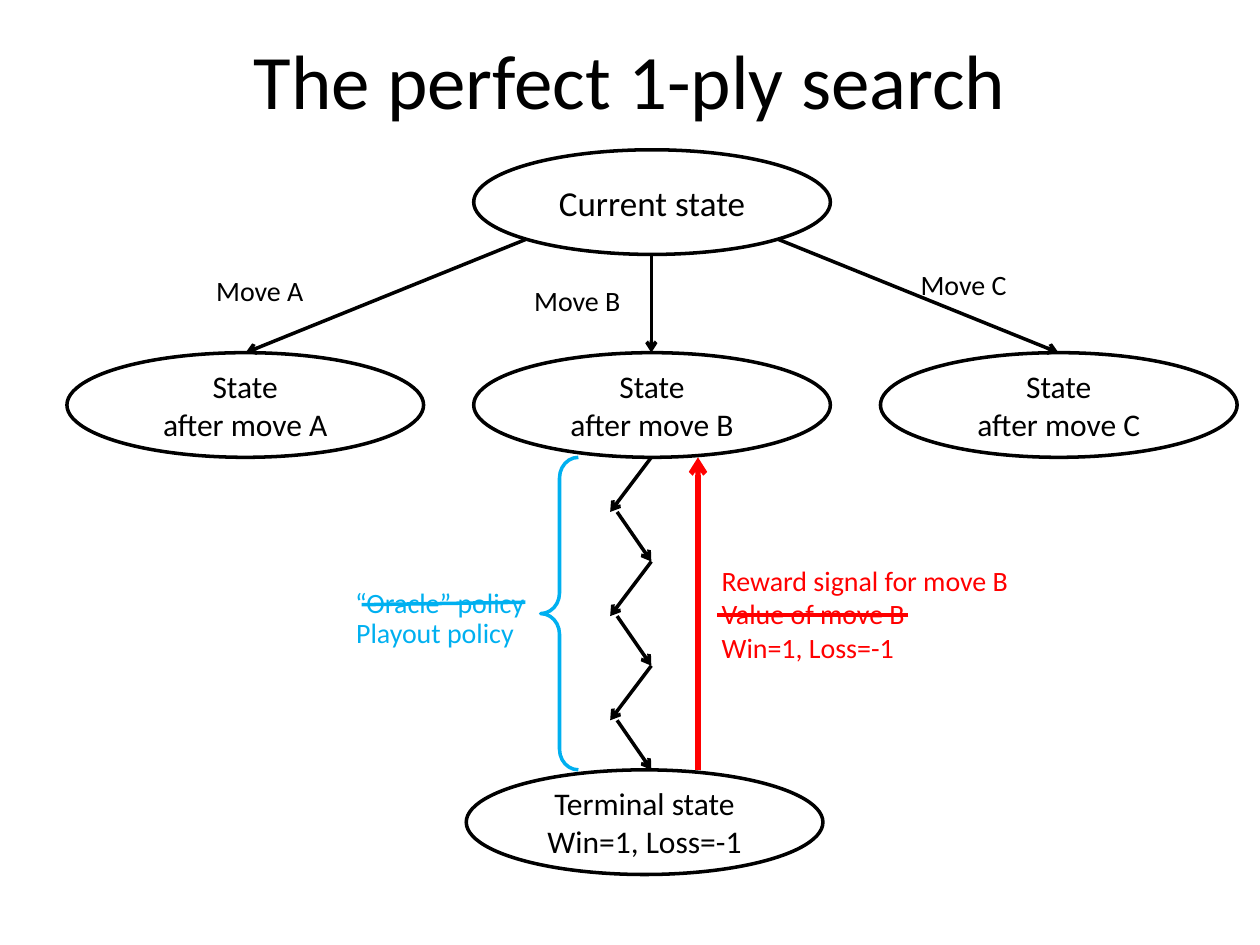
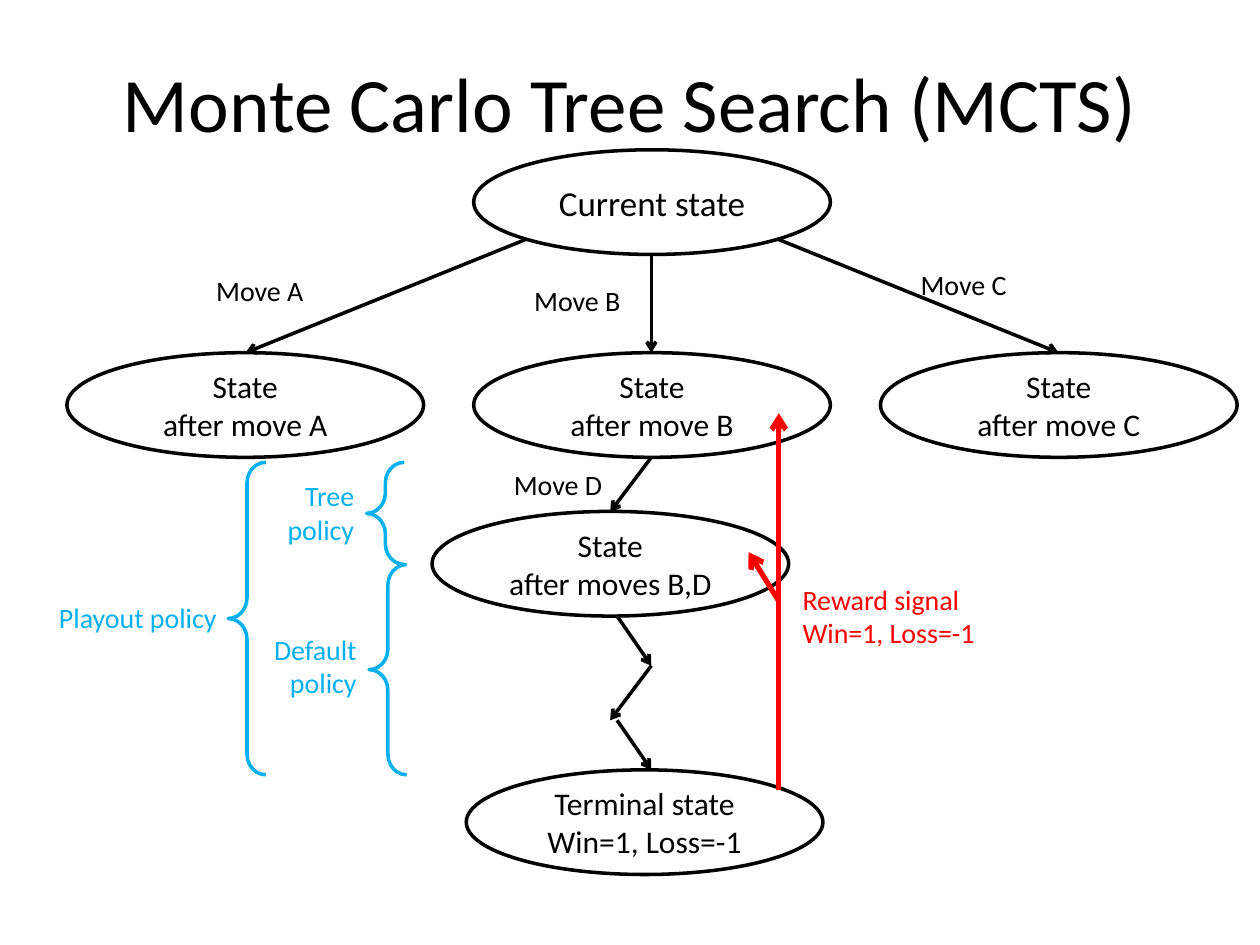
"""Builds two slides on game tree search: the perfect 1-ply search and MCTS."""
from lxml.etree import SubElement
from pptx import Presentation
from pptx.dml.color import RGBColor
from pptx.enum.shapes import MSO_CONNECTOR, MSO_SHAPE
from pptx.enum.text import MSO_ANCHOR, PP_ALIGN
from pptx.oxml.ns import qn
from pptx.util import Cm, Pt

FONT = "Calibri"
BLACK, WHITE, RED, BLUE = "000000", "FFFFFF", "FF0000", "00B0F0"

STATE_WIDTH, STATE_HEIGHT = 7.19, 2.11
CURRENT_TOP, MOVES_TOP, TERMINAL_TOP = 3.02, 7.11, 15.52
FIRST_LEFT, STATE_STEP = 1.35, 8.2
MIDDLE_LEFT = FIRST_LEFT + STATE_STEP
CENTER = 13.13
MOVES_BOTTOM = MOVES_TOP + STATE_HEIGHT
ZIGZAG_PERIOD, ZIGZAG_DROP = 2.1, 1.1
ZIGZAG_END, ZIGZAG_RESTART = 12.3, 12.44
LABEL_WIDTH, LINE_HEIGHT = 5, 0.94

MOVES = [
    ("A", (4.11, 5.38), (10.59, 4.83), 4.95),
    ("B", (10.52, 5.59), (CENTER, 5.13), CENTER),
    ("C", (18.31, 5.26), (15.7, 4.83), 21.34),
]

SLIDES = [
    {
        "title": ("The perfect 1-ply search", 0, 3.18),
        "legs": range(6),
        "states": [],
        "braces": [(10.9, MOVES_BOTTOM, 6.3)],
        "labels": [
            ("“Oracle” policy", 6.91, 11.68, 4.39, BLUE, PP_ALIGN.LEFT),
            ("Playout policy", 6.93, 12.29, 4.39, BLUE, PP_ALIGN.LEFT),
            ("Reward signal for move B", 14.3, 11.23, 7.04, RED, PP_ALIGN.LEFT),
            ("Value of move B\nWin=1, Loss=-1", 14.3, 11.91, 6.17, RED, PP_ALIGN.LEFT),
        ],
        "rewards": [((14.07, TERMINAL_TOP), (14.07, MOVES_BOTTOM))],
        "strikes": [((10.59, 12.14), (7.29, 12.19), BLUE), ((18.31, 12.4), (14.45, 12.4), RED)],
    },
    {
        "title": ("Monte Carlo Tree Search (MCTS)", 0.76, 2.57),
        "legs": (0, 3, 4, 5),
        "states": [("State\nafter moves B,D", 8.71, 10.31)],
        "braces": [(4.6, 9.32, 6.3), (7.39, 9.32, 2.06), (7.44, 11.38, 4.24)],
        "labels": [
            ("Move D", 10.11, 9.3, LABEL_WIDTH, BLACK, PP_ALIGN.LEFT),
            ("Playout policy", 0.94, 11.99, 4.39, BLUE, PP_ALIGN.LEFT),
            ("Tree policy", 5.08, 9.53, 2.31, BLUE, PP_ALIGN.RIGHT),
            ("Default policy", 5.13, 12.62, 2.31, BLUE, PP_ALIGN.RIGHT),
            ("Reward signal\nWin=1, Loss=-1", 15.93, 11.61, 6.17, RED, PP_ALIGN.LEFT),
        ],
        "rewards": [((15.7, 15.93), (15.7, 8.33)), ((15.7, 12.12), (15.09, 11.13))],
        "strikes": [],
    },
]


def color(value):
    return RGBColor.from_string(value)


def write(shape, text, size, ink=BLACK, align=PP_ALIGN.CENTER, anchor=MSO_ANCHOR.MIDDLE):
    text_frame = shape.text_frame
    text_frame.text = text
    text_frame.word_wrap = True
    text_frame.vertical_anchor = anchor
    for paragraph in text_frame.paragraphs:
        paragraph.alignment = align
        for run in paragraph.runs:
            run.font.name = FONT
            run.font.size = Pt(size)
            run.font.color.rgb = color(ink)


def add_label(slide, text, left, top, width, ink, align):
    box = slide.shapes.add_textbox(Cm(left), Cm(top), Cm(width), Cm(LINE_HEIGHT))
    write(box, text, 16, ink, align, MSO_ANCHOR.TOP)


def add_title(slide, text, top, height):
    box = slide.shapes.add_textbox(Cm(1.27), Cm(top), Cm(22.86), Cm(height))
    write(box, text, 44)


def add_outline(slide, kind, left, top, width, height, ink):
    shape = slide.shapes.add_shape(kind, Cm(left), Cm(top), Cm(width), Cm(height))
    shape.shadow.inherit = False
    shape.line.color.rgb = color(ink)
    shape.line.width = Pt(2)
    return shape


def add_state(slide, text, left, top, size=18):
    ellipse = add_outline(slide, MSO_SHAPE.OVAL, left, top, STATE_WIDTH, STATE_HEIGHT, BLACK)
    ellipse.fill.solid()
    ellipse.fill.fore_color.rgb = color(WHITE)
    write(ellipse, text, size)


def add_brace(slide, left, top, height):
    brace = add_outline(slide, MSO_SHAPE.LEFT_BRACE, left, top, 0.76, height, BLUE)
    brace.fill.background()
    brace.adjustments[0] = 0.545


def add_line(slide, start, end, ink=BLACK, width=2, arrow=True):
    points = [Cm(value) for value in (*start, *end)]
    connector = slide.shapes.add_connector(MSO_CONNECTOR.STRAIGHT, *points)
    connector.line.color.rgb = color(ink)
    connector.line.width = Pt(width)
    if arrow:
        SubElement(connector.line._get_or_add_ln(), qn("a:tailEnd"), type="arrow")
    SubElement(connector._element.spPr, qn("a:effectLst"))


def add_zigzag(slide, legs):
    for leg in legs:
        cycle, rising = divmod(leg, 2)
        top = MOVES_BOTTOM + cycle * ZIGZAG_PERIOD
        turn, bottom = top + ZIGZAG_DROP, top + ZIGZAG_PERIOD
        if rising:
            add_line(slide, (ZIGZAG_RESTART, turn), (CENTER, bottom))
        else:
            add_line(slide, (CENTER, top), (ZIGZAG_END, turn))


def add_tree(slide):
    add_state(slide, "Current state", MIDDLE_LEFT, CURRENT_TOP, 20)
    add_state(slide, "Terminal state\nWin=1, Loss=-1", 9.4, TERMINAL_TOP)
    for column, (move, label, start, end_x) in enumerate(MOVES):
        add_state(slide, f"State\nafter move {move}", FIRST_LEFT + column * STATE_STEP, MOVES_TOP)
        add_line(slide, start, (end_x, MOVES_TOP))
        add_label(slide, f"Move {move}", *label, LABEL_WIDTH, BLACK, PP_ALIGN.LEFT)


def build_slide(presentation, content):
    slide = presentation.slides.add_slide(presentation.slide_layouts[6])
    add_title(slide, *content["title"])
    add_tree(slide)
    for state in content["states"]:
        add_state(slide, *state)
    add_zigzag(slide, content["legs"])
    for brace in content["braces"]:
        add_brace(slide, *brace)
    for label in content["labels"]:
        add_label(slide, *label)
    for start, end in content["rewards"]:
        add_line(slide, start, end, RED, 3)
    for start, end, ink in content["strikes"]:
        add_line(slide, start, end, ink, arrow=False)


def main():
    presentation = Presentation()
    presentation.slide_width, presentation.slide_height = Cm(25.4), Cm(19.05)
    for content in SLIDES:
        build_slide(presentation, content)
    presentation.save("out.pptx")


if __name__ == "__main__":
    main()
